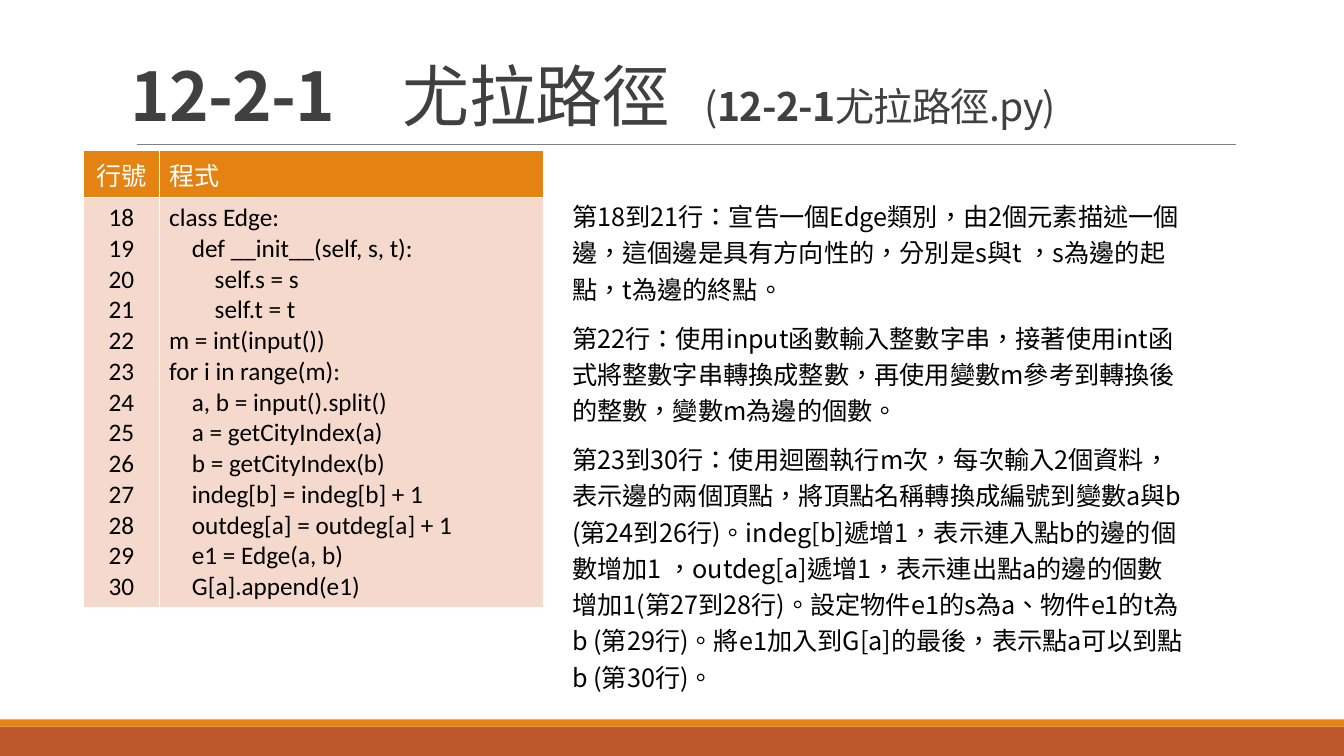
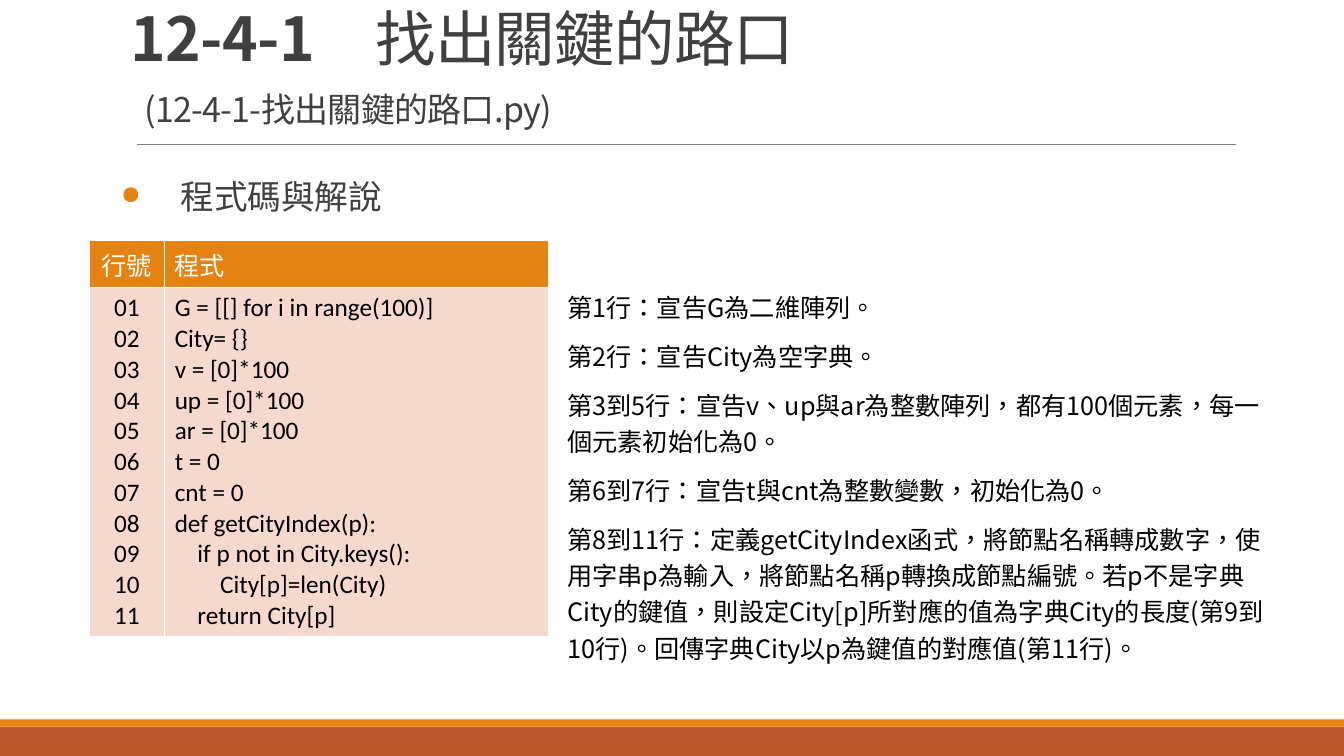
from lxml import etree
from pptx import Presentation
from pptx.dml.color import RGBColor
from pptx.enum.shapes import MSO_CONNECTOR, MSO_SHAPE
from pptx.enum.text import MSO_ANCHOR, PP_ALIGN
from pptx.oxml.ns import qn
from pptx.util import Cm, Pt

RECTANGLE = MSO_SHAPE.RECTANGLE
STRAIGHT = MSO_CONNECTOR.STRAIGHT
BOTTOM = MSO_ANCHOR.BOTTOM
CENTER, LEFT = PP_ALIGN.CENTER, PP_ALIGN.LEFT

# Shared style
TEXT_FONT, CODE_FONT = "Noto Sans CJK SC", "Calibri"
LANGUAGE = "zh-TW"
ORANGE, RUST, PEACH = "E48312", "BD582C", "F5D9CC"
DARK, GRAY, BLACK, WHITE = "404040", "808080", "000000", "FFFFFF"
SLIDE_WIDTH, SLIDE_HEIGHT = 33.87, 19.05
BANDS = [(18.31, 0.74, RUST), (18.13, 0.18, ORANGE)]  # top, height, colour
TITLE_BOX = (3.05, 0.79, 27.94, 2.74)
COLUMN_WIDTHS = (1.9, 9.68)
HEADER_HEIGHT, CODE_LINE_HEIGHT = 1.18, 0.78

# Content: title runs are (text, size or None, bold); "\n" breaks the line
SLIDES = [
    {
        "title_size": 48,
        "title": [("12-2-1　", None, True), ("尤拉路徑", None, False),
                  ("　", 25, False), ("(", 28, False), ("12-2-1", 28, True),
                  ("尤拉路徑.py)", 28, False)],
        "bullet": None,
        "table_at": (2.11, 3.8),
        "first_line": 18,
        "code": [
            "class Edge:",
            "    def __init__(self, s, t):",
            "        self.s = s",
            "        self.t = t",
            "m = int(input())",
            "for i in range(m):",
            "    a, b = input().split()",
            "    a = getCityIndex(a)",
            "    b = getCityIndex(b)",
            "    indeg[b] = indeg[b] + 1",
            "    outdeg[a] = outdeg[a] + 1",
            "    e1 = Edge(a, b)",
            "    G[a].append(e1)",
        ],
        "notes_box": (14.17, 4.8, 15.9, 12.9),
        "notes": [
            "第18到21行：宣告一個Edge類別，由2個元素描述一個邊，這個邊是具有方向性的，"
            "分別是s與t ，s為邊的起點，t為邊的終點。",
            "第22行：使用input函數輸入整數字串，接著使用int函式將整數字串轉換成整數，"
            "再使用變數m參考到轉換後的整數，變數m為邊的個數。",
            "第23到30行：使用迴圈執行m次，每次輸入2個資料，表示邊的兩個頂點，"
            "將頂點名稱轉換成編號到變數a與b (第24到26行)。indeg[b]遞增1，"
            "表示連入點b的邊的個數增加1 ，outdeg[a]遞增1，"
            "表示連出點a的邊的個數增加1(第27到28行)。"
            "設定物件e1的s為a、物件e1的t為b (第29行)。"
            "將e1加入到G[a]的最後，表示點a可以到點b (第30行)。",
        ],
    },
    {
        "title_size": 43.2,
        "title": [("12-4-1　", None, True), ("找出關鍵的路口", None, False),
                  ("\n", None, False), (" ", None, False),
                  ("(12-4-1-找出關鍵的路口.py)", 24.3, False)],
        "bullet": "程式碼與解說",
        "table_at": (2.25, 6.07),
        "first_line": 1,
        "code": [
            "G = [[] for i in range(100)]",
            "City= {}",
            "v = [0]*100",
            "up = [0]*100",
            "ar = [0]*100",
            "t = 0",
            "cnt = 0",
            "def getCityIndex(p):",
            "    if p not in City.keys():",
            "        City[p]=len(City)",
            "    return City[p]",
        ],
        "notes_box": (14.05, 7.09, 18.52, 9.86),
        "notes": [
            "第1行：宣告G為二維陣列。",
            "第2行：宣告City為空字典。",
            "第3到5行：宣告v、up與ar為整數陣列，都有100個元素，每一個元素初始化為0。",
            "第6到7行：宣告t與cnt為整數變數，初始化為0。",
            "第8到11行：定義getCityIndex函式，將節點名稱轉成數字，使用字串p為輸入，"
            "將節點名稱p轉換成節點編號。若p不是字典City的鍵值，"
            "則設定City[p]所對應的值為字典City的長度(第9到10行)。"
            "回傳字典City以p為鍵值的對應值(第11行)。",
        ],
    },
]


def color(value):
    return RGBColor.from_string(value)


def style(paragraph, size, value, name=TEXT_FONT):
    """Set the paragraph font, with the text font for Chinese characters."""
    font = paragraph.font
    font.size, font.name = Pt(size), name
    font.color.rgb = color(value)
    properties = paragraph._p.pPr.find(qn("a:defRPr"))
    properties.set("lang", LANGUAGE)
    etree.SubElement(properties, qn("a:ea"), typeface=TEXT_FONT)
    for run in paragraph.runs:
        run._r.get_or_add_rPr().set("lang", LANGUAGE)
    return properties


def add_text_frame(slide, box):
    frame = slide.shapes.add_textbox(*map(Cm, box)).text_frame
    frame.word_wrap = True
    return frame


def fill_paragraphs(frame, texts):
    """Write one paragraph per text and return the paragraphs."""
    for index, text in enumerate(texts):
        paragraph = frame.add_paragraph() if index else frame.paragraphs[0]
        paragraph.add_run().text = text
    return frame.paragraphs


def add_frame_parts(slide):
    # Bottom bands and the rule under the title
    for top, height, fill in BANDS:
        band = slide.shapes.add_shape(
            RECTANGLE, 0, Cm(top), Cm(SLIDE_WIDTH), Cm(height))
        band.shadow.inherit = False
        band.fill.solid()
        band.fill.fore_color.rgb = color(fill)
        band.line.fill.background()
    rule = slide.shapes.add_connector(
        STRAIGHT, Cm(3.45), Cm(3.64), Cm(31.14), Cm(3.64))
    rule.line.color.rgb = color(GRAY)
    rule.line.width = Pt(0.5)
    etree.SubElement(rule._element.spPr, qn("a:effectLst"))


def add_title(slide, runs, size):
    frame = add_text_frame(slide, TITLE_BOX)
    frame.vertical_anchor = BOTTOM
    paragraph = frame.paragraphs[0]
    paragraph.line_spacing = 0.85
    for text, run_size, bold in runs:
        if text == "\n":
            paragraph.add_line_break()
            continue
        run = paragraph.add_run()
        run.text = text
        run.font.bold = bold
        if run_size:
            run.font.size = Pt(run_size)
    style(paragraph, size, DARK).set("spc", "-50")


def add_bullet(slide, text):
    frame = add_text_frame(slide, (3.05, 3.81, 27.94, 2))
    frame.margin_left = frame.margin_right = 0
    paragraph = fill_paragraphs(frame, [text])[0]
    paragraph.line_spacing = 1.5
    properties = paragraph._p.get_or_add_pPr()
    properties.set("marL", str(Cm(1.5)))
    properties.set("indent", str(-Cm(1.5)))
    bullet_color = etree.SubElement(properties, qn("a:buClr"))
    etree.SubElement(bullet_color, qn("a:srgbClr"), val=ORANGE)
    etree.SubElement(properties, qn("a:buSzPct"), val="75000")
    etree.SubElement(properties, qn("a:buChar"), char="●")
    style(paragraph, 24, DARK)


def set_borders(cell):
    properties = cell._tc.get_or_add_tcPr()
    for index, side in enumerate(("lnL", "lnR", "lnT", "lnB")):
        line = etree.Element(qn("a:" + side), w=str(Pt(1)))
        fill = etree.SubElement(line, qn("a:solidFill"))
        etree.SubElement(fill, qn("a:srgbClr"), val=WHITE)
        properties.insert(index, line)


def add_code_table(slide, position, first_line, code):
    numbers = [f"{first_line + index:02d}" for index in range(len(code))]
    rows = [(["行號"], ["程式"], ORANGE, WHITE), (numbers, code, PEACH, BLACK)]
    heights = (HEADER_HEIGHT, len(code) * CODE_LINE_HEIGHT + 0.2)
    table = slide.shapes.add_table(
        2, 2, *map(Cm, position), Cm(sum(COLUMN_WIDTHS)), Cm(sum(heights))).table
    for column, width in zip(table.columns, COLUMN_WIDTHS):
        column.width = Cm(width)
    for row, height, (*texts, fill, text_color) in zip(table.rows, heights, rows):
        row.height = Cm(height)
        for cell, lines, alignment in zip(row.cells, texts, (CENTER, LEFT)):
            cell.fill.solid()
            cell.fill.fore_color.rgb = color(fill)
            set_borders(cell)
            for paragraph in fill_paragraphs(cell.text_frame, lines):
                paragraph.alignment = alignment
                style(paragraph, 18, text_color, CODE_FONT)
                paragraph.font.bold = False


def add_notes_text(slide, box, notes):
    frame = add_text_frame(slide, box)
    for index, paragraph in enumerate(fill_paragraphs(frame, notes)):
        paragraph.line_spacing = 1.2
        paragraph.space_before = Pt(6 if index else 0)
        paragraph.space_after = Pt(3)
        style(paragraph, 18, BLACK)


def main():
    presentation = Presentation()
    presentation.slide_width = Cm(SLIDE_WIDTH)
    presentation.slide_height = Cm(SLIDE_HEIGHT)
    for content in SLIDES:
        slide = presentation.slides.add_slide(presentation.slide_layouts[6])
        add_frame_parts(slide)
        add_title(slide, content["title"], content["title_size"])
        if content["bullet"]:
            add_bullet(slide, content["bullet"])
        add_code_table(slide, content["table_at"], content["first_line"],
                       content["code"])
        add_notes_text(slide, content["notes_box"], content["notes"])
    presentation.save("out.pptx")


if __name__ == "__main__":
    main()
